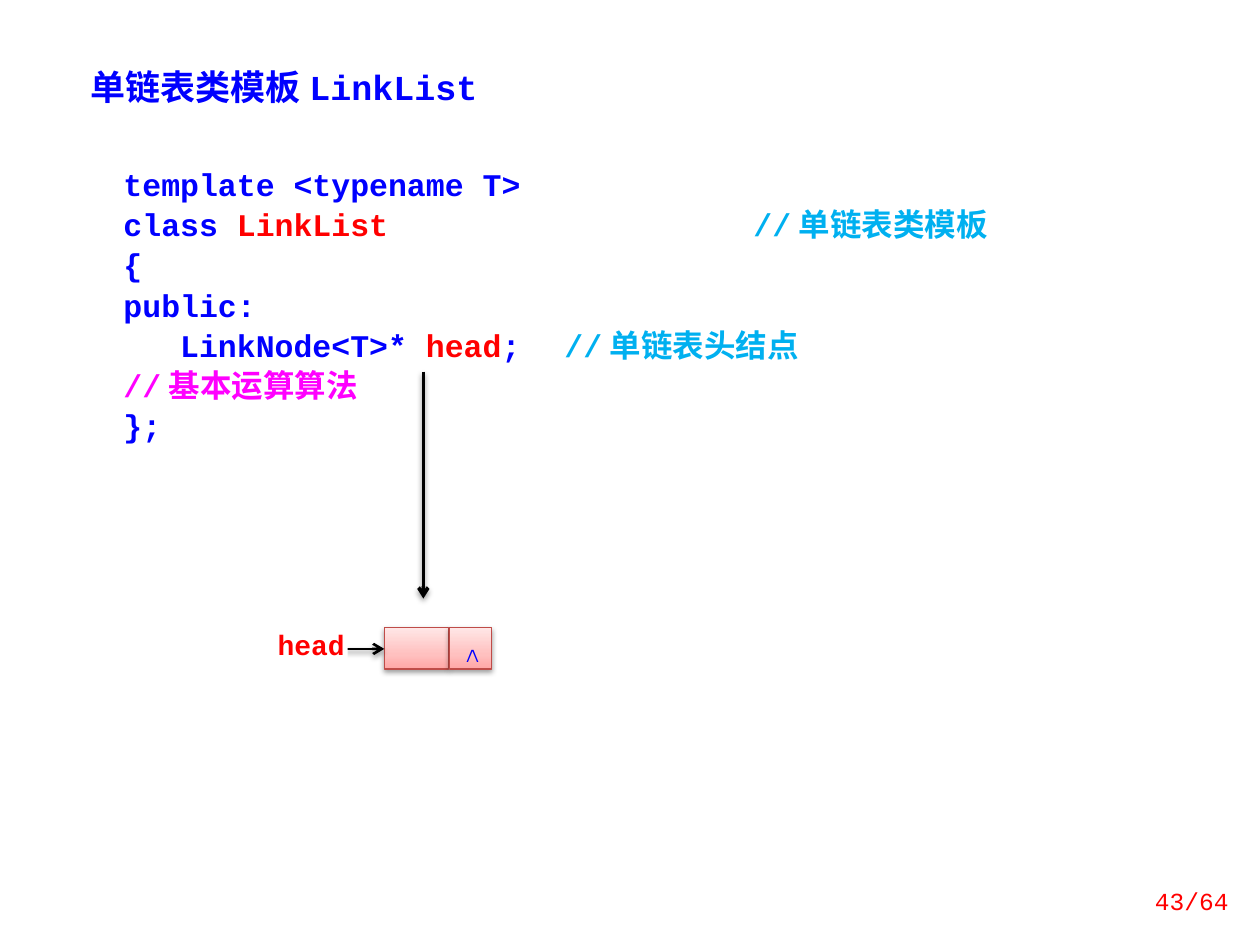
from lxml import etree
from pptx import Presentation
from pptx.dml.color import RGBColor
from pptx.enum.shapes import MSO_CONNECTOR, MSO_SHAPE
from pptx.enum.text import MSO_ANCHOR, PP_ALIGN
from pptx.oxml import parse_xml
from pptx.oxml.ns import nsdecls, qn
from pptx.util import Inches, Pt

RECTANGLE = MSO_SHAPE.RECTANGLE
STRAIGHT = MSO_CONNECTOR.STRAIGHT
TOP, MIDDLE = MSO_ANCHOR.TOP, MSO_ANCHOR.MIDDLE
LEFT, CENTER, RIGHT = PP_ALIGN.LEFT, PP_ALIGN.CENTER, PP_ALIGN.RIGHT

FONT = "Courier New"
COLORS = {
    "blue": "0000FF", "red": "FF0000", "sky": "00B0F0", "magenta": "FF00FF",
    "white": "FFFFFF", "black": "000000", "node_line": "BF4C48",
}
NODE_GRADIENT = [(0, "FFA6A5"), (35, "FFC0BF"), (100, "FFE7E7")]
CODE_SPACING = Pt(23)
COMMENT_TAB = Inches(5)
BODY_INDENT = Inches(0.45)
NODE_TOP, NODE_HEIGHT = 4.98, 0.33

CODE_LINES = [
    [("template <typename T>", "blue")],
    [("class ", "blue"), ("LinkList\t", "red"), ("//单链表类模板", "sky")],
    [("{", "blue")],
    [("public:", "blue")],
    [("LinkNode<T>* ", "blue"), ("head", "red"), (";\t", "blue"),
     ("//单链表头结点", "sky")],
    [("//基本运算算法", "magenta")],
    [("};", "blue")],
]
INDENTED_LINE = 4


def color(name):
    return RGBColor.from_string(COLORS[name])


def add_shadow(shape):
    shape._element.spPr.append(parse_xml(
        f'<a:effectLst {nsdecls("a")}>'
        f'<a:outerShdw blurRad="{Pt(3.1)}" dist="{Pt(1.6)}" dir="5400000" rotWithShape="0">'
        f'<a:srgbClr val="{COLORS["black"]}"><a:alpha val="38000"/></a:srgbClr>'
        '</a:outerShdw></a:effectLst>'))


def set_frame(shape, margins, anchor=TOP):
    frame = shape.text_frame
    frame.word_wrap = True
    frame.vertical_anchor = anchor
    (frame.margin_left, frame.margin_top,
     frame.margin_right, frame.margin_bottom) = map(Inches, margins)
    return frame


def write_line(paragraph, runs, size, bold=True, align=LEFT, spacing=None):
    paragraph.alignment = align
    if spacing:
        paragraph.line_spacing = spacing
    for text, color_name in runs:
        run = paragraph.add_run()
        run.text = text
        run.font.name = FONT
        run.font.size = Pt(size)
        run.font.bold = bold
        run.font.color.rgb = color(color_name)


def add_label(slide, box, runs, size, bold=True, align=LEFT, anchor=TOP):
    shape = slide.shapes.add_textbox(*map(Inches, box))
    frame = set_frame(shape, (0.1, 0.05, 0.1, 0.05), anchor)
    write_line(frame.paragraphs[0], runs, size, bold, align)


def add_panel(slide, box):
    """Add a plain white rectangle without outline."""
    shape = slide.shapes.add_shape(RECTANGLE, *map(Inches, box))
    shape.shadow.inherit = False
    shape.fill.solid()
    shape.fill.fore_color.rgb = color("white")
    shape.line.fill.background()
    return shape


def add_code(slide):
    frame = set_frame(add_panel(slide, (0.78, 1.17, 7.58, 2.5)), (0.2, 0.12, 0.1, 0.12))
    for index, runs in enumerate(CODE_LINES):
        paragraph = frame.paragraphs[0] if index == 0 else frame.add_paragraph()
        write_line(paragraph, runs, 18, spacing=CODE_SPACING)
        properties = paragraph._p.get_or_add_pPr()
        if index == INDENTED_LINE:
            properties.set("marL", "0")
            properties.set("indent", str(BODY_INDENT))
        tabs = etree.SubElement(properties, qn("a:tabLst"))
        etree.SubElement(tabs, qn("a:tab"), pos=str(COMMENT_TAB), algn="l")


def add_node_cell(slide, left, width):
    cell = slide.shapes.add_shape(
        RECTANGLE, Inches(left), Inches(NODE_TOP), Inches(width), Inches(NODE_HEIGHT))
    stops = "".join(f'<a:gs pos="{position * 1000}"><a:srgbClr val="{value}"/></a:gs>'
                    for position, value in NODE_GRADIENT)
    cell._element.spPr.append(parse_xml(
        f'<a:gradFill {nsdecls("a")} rotWithShape="1"><a:gsLst>{stops}</a:gsLst>'
        '<a:lin ang="16200000" scaled="0"/></a:gradFill>'))
    cell.line.color.rgb = color("node_line")
    cell.line.width = Pt(0.75)
    add_shadow(cell)
    return cell


def add_arrow(slide, start, end, width):
    arrow = slide.shapes.add_connector(STRAIGHT, *map(Inches, start + end))
    arrow.line.color.rgb = color("black")
    arrow.line.width = Pt(width)
    etree.SubElement(arrow.line._get_or_add_ln(), qn("a:tailEnd"), type="arrow")
    add_shadow(arrow)


def add_head_node(slide):
    add_node_cell(slide, 3.05, 0.51)
    pointer = add_node_cell(slide, 3.57, 0.33)
    frame = set_frame(pointer, (0.03, 0, 0, 0))
    write_line(frame.paragraphs[0], [("∧", "blue")], 16, align=CENTER, spacing=CODE_SPACING)
    add_arrow(slide, (2.74, 5.15), (3.05, 5.15), 1.5)
    label = add_panel(slide, (2.18, NODE_TOP, 0.58, NODE_HEIGHT))
    frame = set_frame(label, (0, 0, 0, 0))
    write_line(frame.paragraphs[0], [("head", "red")], 16, align=CENTER)


def main():
    presentation = Presentation()
    presentation.slide_width = Inches(10)
    presentation.slide_height = Inches(7.5)
    slide = presentation.slides.add_slide(presentation.slide_layouts[6])
    add_label(slide, (0.62, 0.47, 4.84, 0.44), [("单链表类模板LinkList", "blue")], 20)
    add_code(slide)
    add_head_node(slide)
    add_arrow(slide, (3.36, 2.95), (3.36, 4.75), 2)
    add_label(slide, (8.91, 6.95, 0.94, 0.4), [("43/64", "red")], 14,
              bold=False, align=RIGHT, anchor=MIDDLE)
    presentation.save("out.pptx")


if __name__ == "__main__":
    main()
